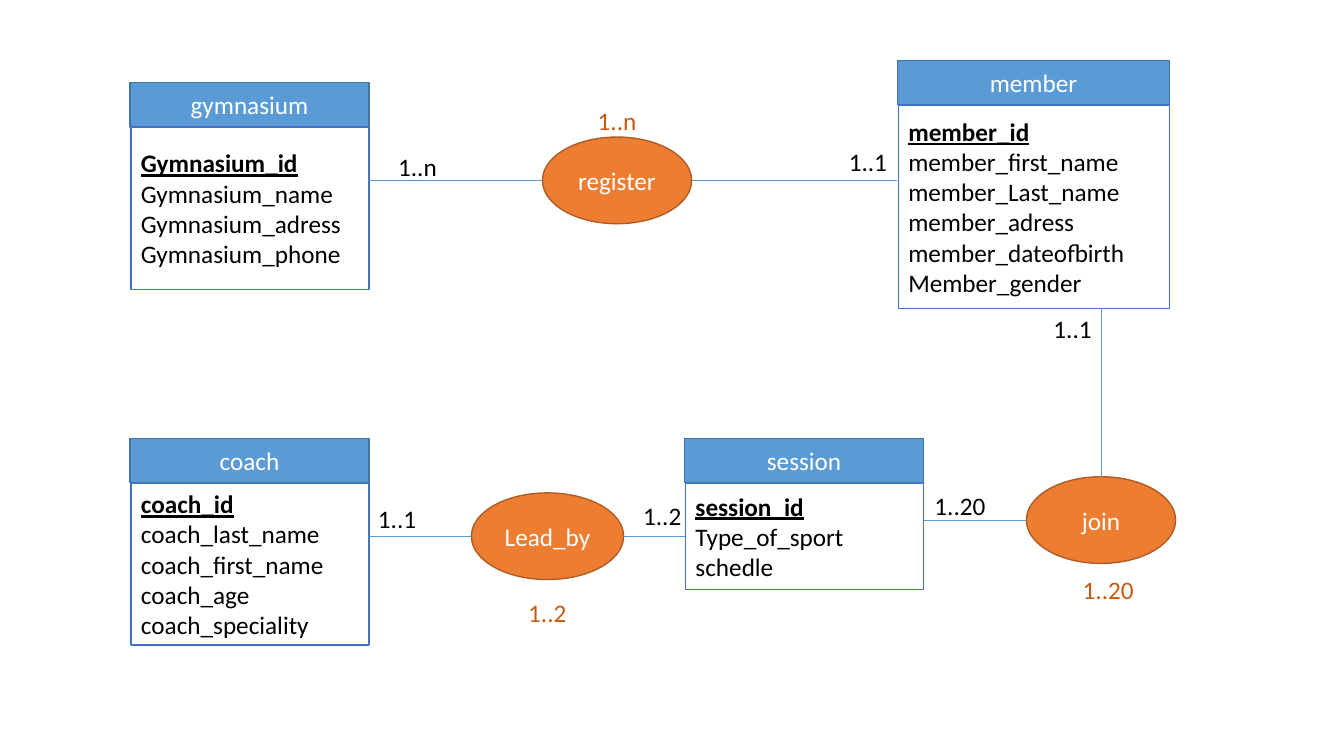
from pptx import Presentation
from pptx.dml.color import RGBColor
from pptx.enum.shapes import MSO_CONNECTOR, MSO_SHAPE
from pptx.enum.text import MSO_ANCHOR, MSO_AUTO_SIZE, PP_ALIGN
from pptx.util import Inches, Pt
from lxml import etree

RECT, OVAL = MSO_SHAPE.RECTANGLE, MSO_SHAPE.OVAL
LEFT, MID = PP_ALIGN.LEFT, PP_ALIGN.CENTER
GROW = MSO_AUTO_SIZE.SHAPE_TO_FIT_TEXT
NS = "http://schemas.openxmlformats.org/drawingml/2006/main"

TABLES = {
    "gymnasium": (1.29, 0.82, 2.37, 1.61, [
        "Gymnasium_id", "Gymnasium_name", "Gymnasium_adress", "Gymnasium_phone"]),
    "member": (8.9, 0.6, 2.7, 2.02, [
        "member_id", "member_first_name", "member_Last_name",
        "member_adress", "member_dateofbirth", "Member_gender"]),
    "session": (6.79, 4.35, 2.37, 1.06, [
        "session_id", "Type_of_sport", "schedle"]),
    "coach": (1.29, 4.35, 2.37, 1.61, [
        "coach_id", "coach_last_name", "coach_first_name",
        "coach_age", "coach_speciality"]),
}
VERBS = {
    "register": (6.12, 1.79, 1.48, ["gymnasium", "member"]),
    "Lead_by": (5.43, 5.32, 1.51, ["coach", "session"]),
    "join": (10.92, 5.16, 1.48, ["member", "session"]),
}
BLACK, RUST = "000000", "C55A11"
COUNTS = {
    BLACK: [("1..n", 3.85, 1.45), ("1..1", 8.32, 1.4), ("1..1", 3.65, 4.94),
            ("1..2", 6.28, 4.91), ("1..1", 10.35, 3.06), ("1..20", 9.17, 4.82)],
    RUST: [("1..n", 5.83, 1), ("1..20", 10.64, 5.65), ("1..2", 5.14, 5.88)],
}
HEAD = dict(fill="5B9BD5", line="43739E", ink="FFFFFF", align=MID)
BODY = dict(fill="FFFFFF", line="4472C4", ink=BLACK, align=LEFT)
VERB = dict(fill="ED7D31", line="AF5C24", ink="FFFFFF", align=MID)
FONT = dict(name="Calibri", size=Pt(18))
KEY = dict(bold=True, underline=True)
HEAD_H, OVAL_H, INSET = 0.44, 0.86, 0.01

deck = Presentation()
deck.slide_width, deck.slide_height = Inches(13.33), Inches(7.5)
slide = deck.slides.add_slide(deck.slide_layouts[6])
parts = slide.shapes


def paint(item, code):
    item.rgb = RGBColor.from_string(code)


def write(frame, lines, ink, align=LEFT, keyed=False):
    for i, text in enumerate(lines):
        para = frame.paragraphs[0] if i == 0 else frame.add_paragraph()
        para.alignment = align
        run = para.add_run()
        run.text = text
        style = FONT | KEY if keyed and i == 0 else FONT
        for name, value in style.items():
            setattr(run.font, name, value)
        paint(run.font.color, ink)


def block(kind, spot, lines, look, keyed=False):
    shape = parts.add_shape(kind, *map(Inches, spot))
    shape.shadow.inherit = False
    shape.fill.solid()
    paint(shape.fill.fore_color, look["fill"])
    paint(shape.line.color, look["line"])
    shape.line.width = Pt(1)
    shape.text_frame.vertical_anchor = MSO_ANCHOR.MIDDLE
    write(shape.text_frame, lines, look["ink"], look["align"], keyed)


def link(*ends):
    line = parts.add_connector(MSO_CONNECTOR.STRAIGHT, *map(Inches, ends))
    paint(line.line.color, "5B9BD5")
    line.line.width = Pt(0.5)
    etree.SubElement(line._element.spPr, f"{{{NS}}}effectLst")


for name, (x, y, w, h, rows) in TABLES.items():
    block(RECT, (x, y, w, HEAD_H), [name], HEAD)
    block(RECT, (x + INSET, y + HEAD_H, w - INSET, h), rows, BODY, True)

for name, (x, y, w, ends) in VERBS.items():
    block(OVAL, (x - w / 2, y - OVAL_H / 2, w, OVAL_H), [name], VERB)
    for end in ends:
        left, top, wide, tall, _ = TABLES[end]
        if left < x < left + wide:
            link(x, top + HEAD_H + tall, x, y - OVAL_H / 2)
        elif left > x:
            link(x + w / 2, y, left, y)
        else:
            link(left + wide, y, x - w / 2, y)

for ink, marks in COUNTS.items():
    for text, x, y in marks:
        wide = 0.08 + 0.13 * len(text)
        box = parts.add_textbox(*map(Inches, (x, y, wide, 0.4)))
        box.text_frame.word_wrap = False
        box.text_frame.auto_size = GROW
        write(box.text_frame, [text], ink)

deck.save("out.pptx")
